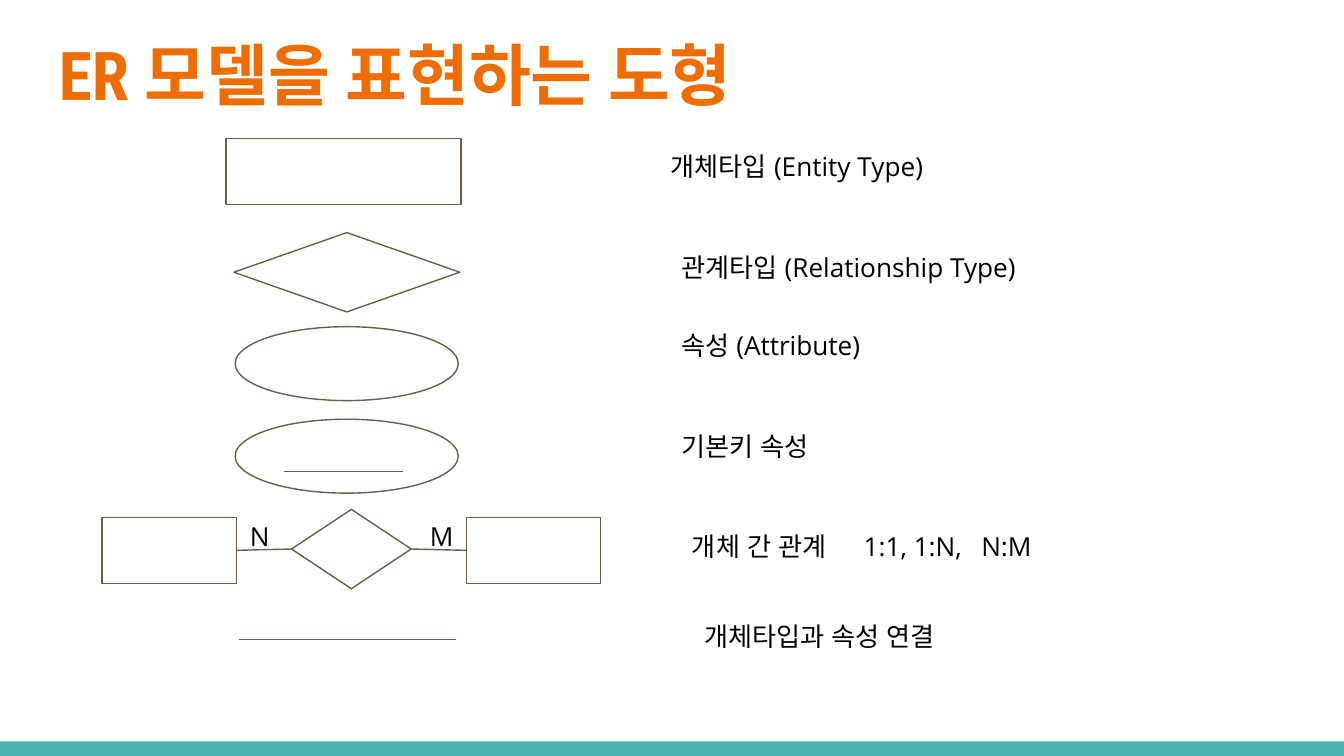
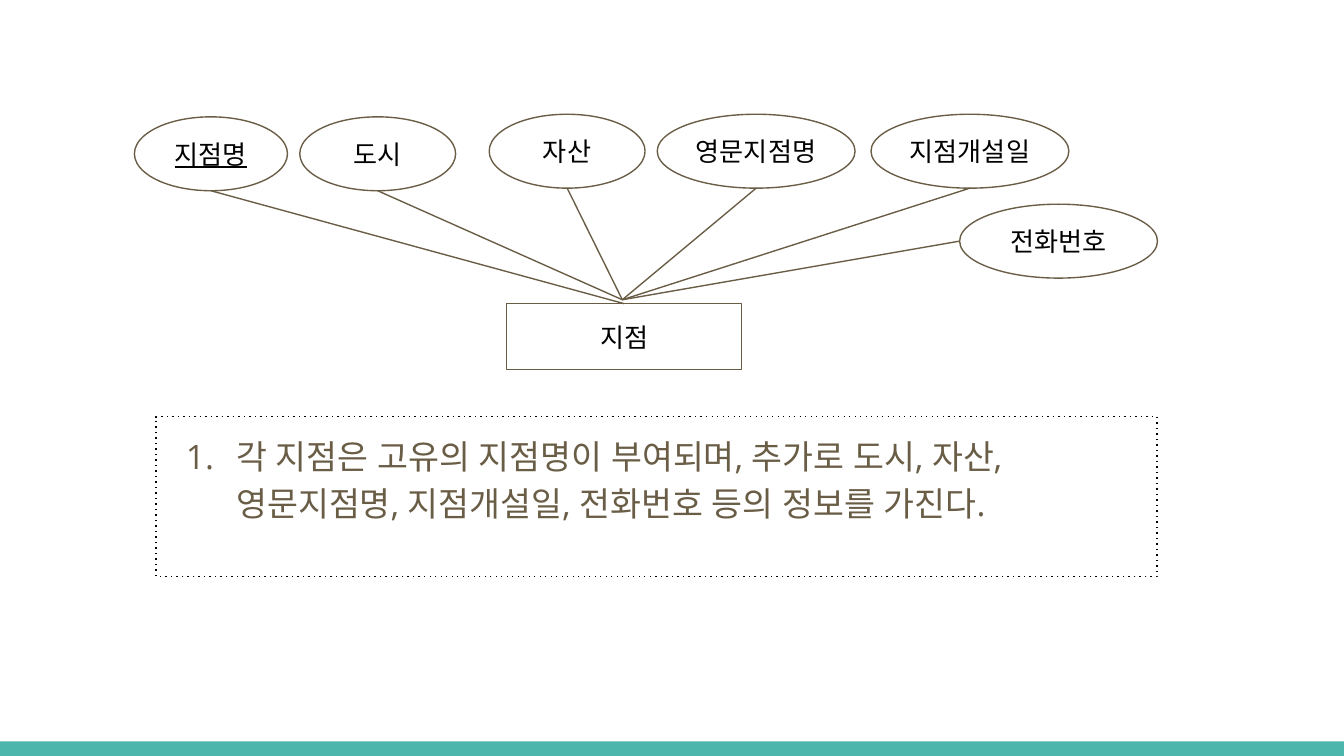
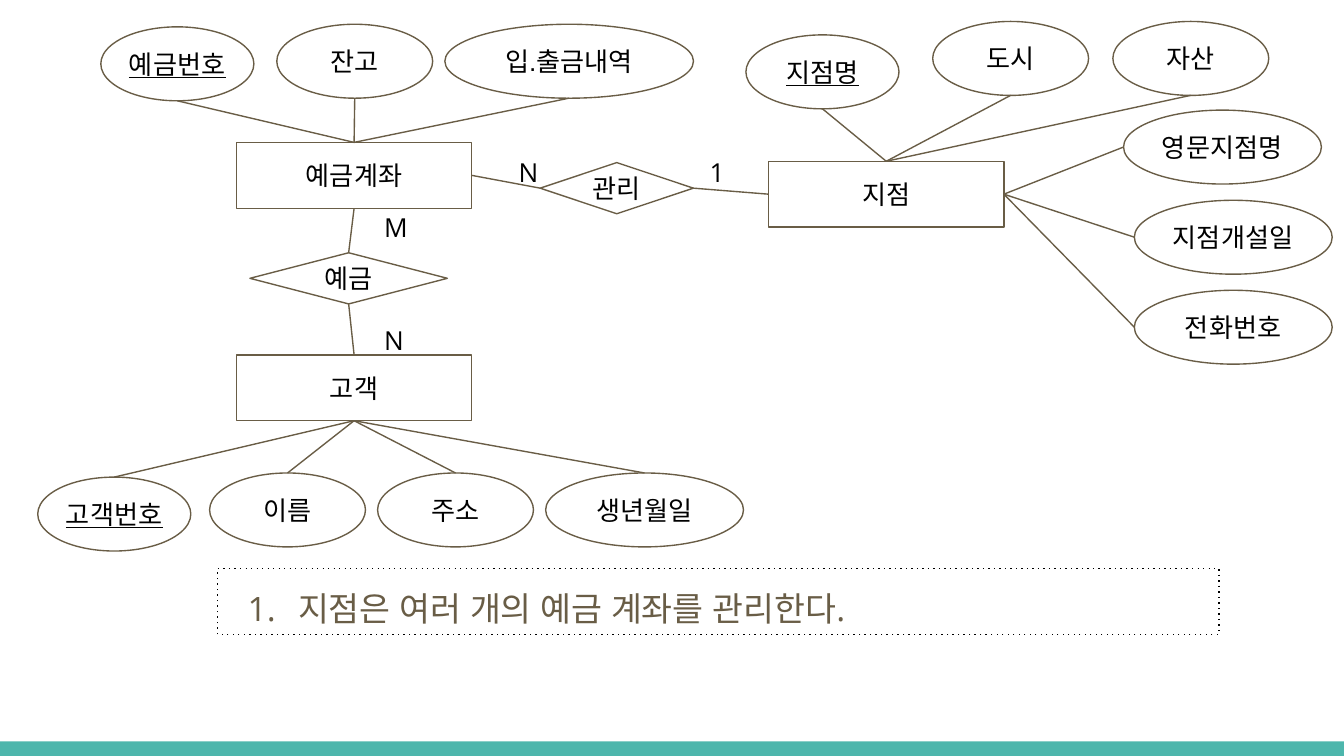
from lxml.etree import SubElement
from pptx import Presentation
from pptx.dml.color import RGBColor
from pptx.enum.shapes import MSO_CONNECTOR, MSO_SHAPE
from pptx.enum.text import MSO_ANCHOR, PP_ALIGN
from pptx.oxml.ns import qn
from pptx.util import Pt

WHITE = RGBColor(0xFF, 0xFF, 0xFF)
BLACK = RGBColor(0, 0, 0)
ORANGE = RGBColor(0xEF, 0x6C, 0x00)
TEAL = RGBColor(0x4D, 0xB6, 0xAC)
BROWN = RGBColor(0x69, 0x5D, 0x46)

RECTANGLE = MSO_SHAPE.RECTANGLE
DIAMOND = MSO_SHAPE.DIAMOND
OVAL = MSO_SHAPE.OVAL
STRAIGHT = MSO_CONNECTOR.STRAIGHT
TOP, LEFT, BOTTOM, RIGHT = range(4)

TITLE_FONT, BODY_FONT, DIAGRAM_FONT = "Roboto Condensed", "Open Sans", "Arial"
PAGE_WIDTH, PAGE_HEIGHT, BAND_HEIGHT = 720, 405, 7.8
INSET = 7.2
ENTITY_WIDTH, ENTITY_HEIGHT = 126, 35.3
ATTRIBUTE_HEIGHT = 39.6
KEY_WIDTH, SHORT_WIDTH, LONG_WIDTH, LONGEST_WIDTH = 82, 83.5, 106, 133.2


def add_page(deck):
    page = deck.slides.add_slide(deck.slide_layouts[6])
    band = page.shapes.add_shape(RECTANGLE, 0, Pt(PAGE_HEIGHT - BAND_HEIGHT),
                                 Pt(PAGE_WIDTH), Pt(BAND_HEIGHT))
    band.shadow.inherit = False
    band.fill.solid()
    band.fill.fore_color.rgb = TEAL
    band.line.fill.background()
    return page


def write(box, text, size, font, color, inset=INSET):
    """Fill a box with one paragraph and return that paragraph."""
    frame = box.text_frame
    frame.word_wrap = True
    frame.margin_left = frame.margin_right = Pt(inset)
    frame.margin_top = frame.margin_bottom = Pt(inset)
    frame.text = text
    para = frame.paragraphs[0]
    span = para.runs[0]
    span.font.size = Pt(size)
    span.font.name = font
    span.font.color.rgb = color
    SubElement(span.font._element, qn("a:ea"), typeface=font)
    return para


def add_text(page, text, left, top, width, height, size=14, font=BODY_FONT, color=BLACK):
    box = page.shapes.add_textbox(Pt(left), Pt(top), Pt(width), Pt(height))
    return write(box, text, size, font, color)


def add_title(page, text):
    para = add_text(page, text, 24.5, 10.8, 567.4, 53.3, 36, TITLE_FONT, ORANGE)
    para.runs[0].font.bold = True


def add_cardinality(page, text, left, top):
    add_text(page, text, left, top, 23, 23)


def add_symbol(page, kind, left, top, width, height, text="", underline=False):
    """Add an outlined ER symbol, with a centred name if there is one."""
    symbol = page.shapes.add_shape(kind, Pt(left), Pt(top), Pt(width), Pt(height))
    symbol.shadow.inherit = False
    symbol.fill.solid()
    symbol.fill.fore_color.rgb = WHITE
    symbol.line.color.rgb = BROWN
    symbol.line.width = Pt(0.75)
    if text:
        para = write(symbol, text, 14, DIAGRAM_FONT, BLACK, inset=0)
        para.alignment = PP_ALIGN.CENTER
        symbol.text_frame.vertical_anchor = MSO_ANCHOR.MIDDLE
        if underline:
            para.runs[0].font.underline = True
    return symbol


def add_entity(page, text, left, top):
    return add_symbol(page, RECTANGLE, left, top, ENTITY_WIDTH, ENTITY_HEIGHT, text)


def add_attribute(page, text, left, top, width=SHORT_WIDTH):
    """Add an attribute oval; the key width marks a primary key."""
    return add_symbol(page, OVAL, left, top, width, ATTRIBUTE_HEIGHT, text,
                      underline=width == KEY_WIDTH)


def add_line(page, start, end):
    line = page.shapes.add_connector(STRAIGHT, *start, *end)
    line.line.color.rgb = BROWN
    line.line.width = Pt(0.75)
    SubElement(line._element.spPr, qn("a:effectLst"))
    return line


def side_point(shape, side):
    middle = shape.left + shape.width // 2
    center = shape.top + shape.height // 2
    return {TOP: (middle, shape.top),
            LEFT: (shape.left, center),
            BOTTOM: (middle, shape.top + shape.height),
            RIGHT: (shape.left + shape.width, center)}[side]


def link(page, first, first_side, second, second_side):
    """Join two symbols; ovals number their sites differently and stay unglued."""
    line = add_line(page, side_point(first, first_side), side_point(second, second_side))
    if first.auto_shape_type != OVAL:
        line.begin_connect(first, first_side)
    if second.auto_shape_type != OVAL:
        line.end_connect(second, second_side)


def add_attributes(page, entity, entity_side, attribute_side, attributes):
    for attribute in attributes:
        oval = add_attribute(page, *attribute)
        link(page, oval, attribute_side, entity, entity_side)


def add_requirement(page, text, left, top, height):
    """Add a dotted box with a numbered sentence."""
    box = page.shapes.add_shape(RECTANGLE, Pt(left), Pt(top), Pt(536.4), Pt(height))
    box.shadow.inherit = False
    box.fill.background()
    box.line.color.rgb = BLACK
    box.line.width = Pt(0.75)
    SubElement(box._element.spPr.find(qn("a:ln")), qn("a:prstDash"), val="dot")
    para = write(box, text, 18, BODY_FONT, BROWN)
    box.text_frame.vertical_anchor = MSO_ANCHOR.TOP
    para.alignment = PP_ALIGN.LEFT
    para.line_spacing = 1.15
    properties = para._p.get_or_add_pPr()
    properties.set("marL", str(Pt(36)))
    properties.set("indent", str(Pt(-27)))
    bullet_color = SubElement(properties, qn("a:buClr"))
    SubElement(bullet_color, qn("a:srgbClr"), val=str(BROWN))
    SubElement(properties, qn("a:buAutoNum"), type="arabicPeriod")


def add_tab_stops(para, positions):
    stops = SubElement(para._p.get_or_add_pPr(), qn("a:tabLst"))
    for position in positions:
        SubElement(stops, qn("a:tab"), pos=str(Pt(position)), algn="l")


def build_symbols_page(deck):
    page = add_page(deck)
    add_title(page, "ER 모델을 표현하는 도형")

    add_entity(page, "", 121, 74.2)
    add_symbol(page, DIAMOND, 125.3, 124.6, 121, 42.5)
    for top in (175, 224.6):
        add_symbol(page, OVAL, 126, top, 119.5, ATTRIBUTE_HEIGHT)
    relationship = add_symbol(page, DIAMOND, 156.2, 272.9, 64.1, 42.5)
    left_entity, right_entity = [
        add_symbol(page, RECTANGLE, left, 277.2, 72, ENTITY_HEIGHT) for left in (54.7, 249.8)]
    link(page, left_entity, RIGHT, relationship, LEFT)
    link(page, relationship, RIGHT, right_entity, LEFT)
    for left, right, height in ((151.9, 216, 252.7), (128.2, 244.1, 342.7)):
        add_line(page, (Pt(left), Pt(height)), (Pt(right), Pt(height)))

    for text, left, top in (
            ("개체타입 (Entity Type)", 352.1, 73.4),
            ("관계타입 (Relationship Type)", 357.8, 127.4),
            ("속성 (Attribute)", 357.8, 169.2),
            ("기본키 속성", 357.8, 223.2),
            ("개체 간 관계\t1:1, 1:N,\tN:M", 363.6, 277.2),
            ("개체타입과 속성 연결", 370.1, 325.4)):
        para = add_text(page, text, left, top, 272.2, 30.2)
        if "\t" in text:
            add_tab_stops(para, (92, 155))
    add_cardinality(page, "N", 126.7, 271.4)
    add_cardinality(page, "M", 223.2, 271.4)


def build_branch_page(deck):
    page = add_page(deck)
    add_requirement(page, "각 지점은 고유의 지점명이 부여되며, 추가로 도시, 자산, 영문지점명, "
                          "지점개설일, 전화번호 등의 정보를 가진다.", 83.5, 223.2, 85.7)
    branch = add_entity(page, "지점", 271.4, 162.7)
    add_attributes(page, branch, TOP, BOTTOM, [("지점명", 72, 62.6, KEY_WIDTH)])
    meeting_point = Pt(333.4), Pt(160.6)
    for text, left, top, width, side in (
            ("도시", 160.6, 62.6, SHORT_WIDTH, BOTTOM),
            ("자산", 262.1, 61.2, SHORT_WIDTH, BOTTOM),
            ("영문지점명", 352.1, 61.2, LONG_WIDTH, BOTTOM),
            ("지점개설일", 466.6, 61.2, LONG_WIDTH, BOTTOM),
            ("전화번호", 514.1, 109.4, LONG_WIDTH, LEFT)):
        oval = add_attribute(page, text, left, top, width)
        add_line(page, side_point(oval, side), meeting_point)


def build_bank_page(deck):
    page = add_page(deck)
    add_requirement(page, "지점은 여러 개의 예금 계좌를 관리한다.", 116.6, 304.6, 35.3)
    account = add_entity(page, "예금계좌", 126.7, 76.3)
    customer = add_entity(page, "고객", 126.7, 190.1)
    branch = add_entity(page, "지점", 411.8, 86.4)

    add_attributes(page, account, TOP, BOTTOM, [
        ("예금번호", 54, 14.4, KEY_WIDTH),
        ("잔고", 148.3, 13),
        ("입.출금내역", 238.3, 13, LONGEST_WIDTH)])
    add_attributes(page, customer, BOTTOM, TOP, [
        ("고객번호", 20.2, 255.6, KEY_WIDTH),
        ("이름", 112.3, 253.4),
        ("주소", 202.3, 253.4),
        ("생년월일", 292.3, 253.4, LONG_WIDTH)])
    add_attributes(page, branch, TOP, BOTTOM, [
        ("지점명", 399.6, 18.7, KEY_WIDTH),
        ("도시", 499.7, 11.5),
        ("자산", 596.2, 11.5)])
    add_attributes(page, branch, RIGHT, LEFT, [
        ("영문지점명", 601.9, 59, LONG_WIDTH),
        ("지점개설일", 607.7, 107.3, LONG_WIDTH),
        ("전화번호", 607.7, 155.5, LONG_WIDTH)])

    deposit = add_symbol(page, DIAMOND, 133.9, 135.4, 105.8, 27.4, "예금")
    link(page, deposit, TOP, account, BOTTOM)
    link(page, customer, TOP, deposit, BOTTOM)
    management = add_symbol(page, DIAMOND, 289.4, 87.1, 82.1, 27.4, "관리")
    link(page, management, LEFT, account, RIGHT)
    link(page, branch, LEFT, management, RIGHT)

    for text, left, top in (("N", 198.7, 166.3), ("M", 198.7, 105.8),
                            ("N", 270.7, 76.3), ("1", 373, 76.3)):
        add_cardinality(page, text, left, top)


def main():
    deck = Presentation()
    deck.slide_width = Pt(PAGE_WIDTH)
    deck.slide_height = Pt(PAGE_HEIGHT)
    build_symbols_page(deck)
    build_branch_page(deck)
    build_bank_page(deck)
    deck.save("out.pptx")


if __name__ == "__main__":
    main()
